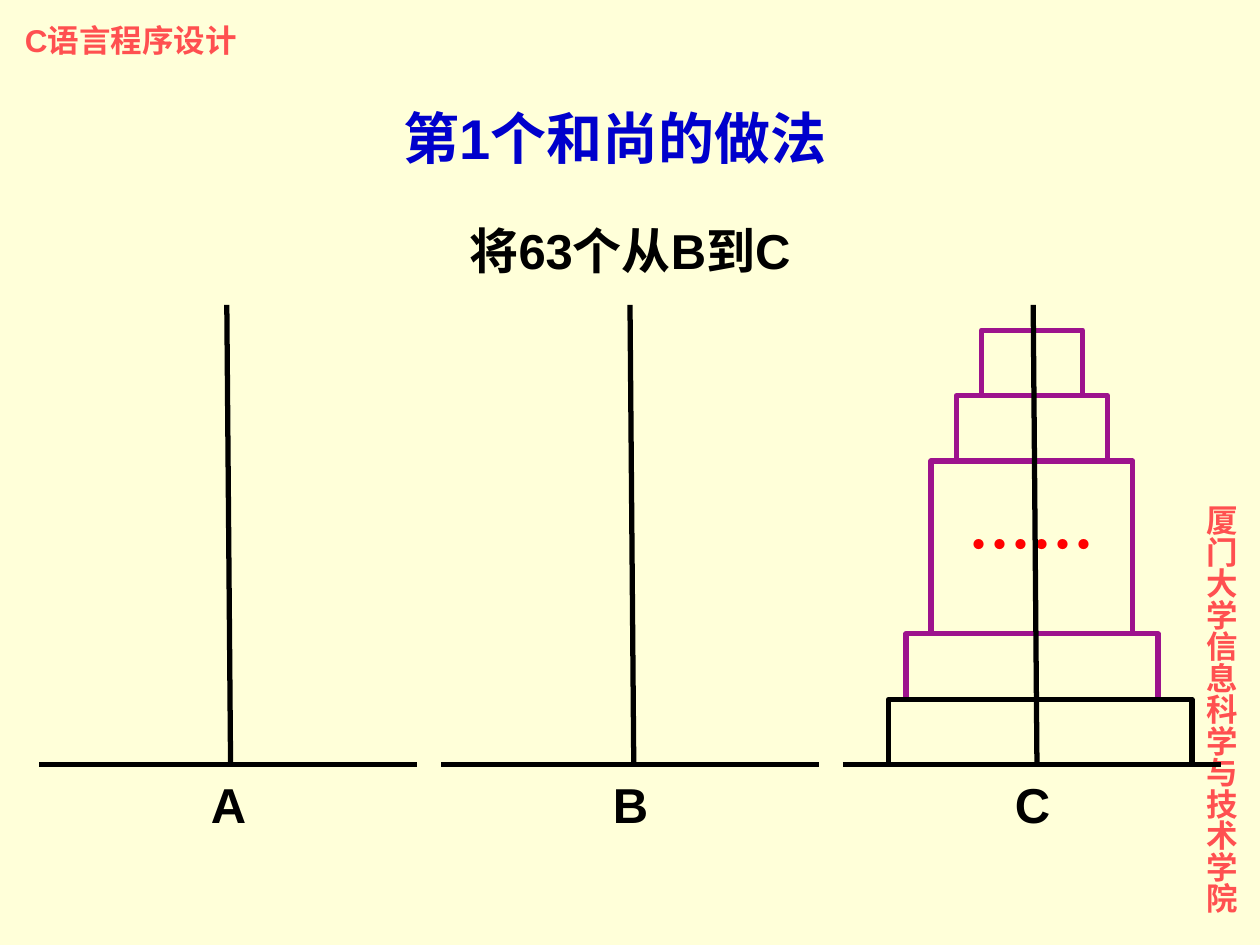
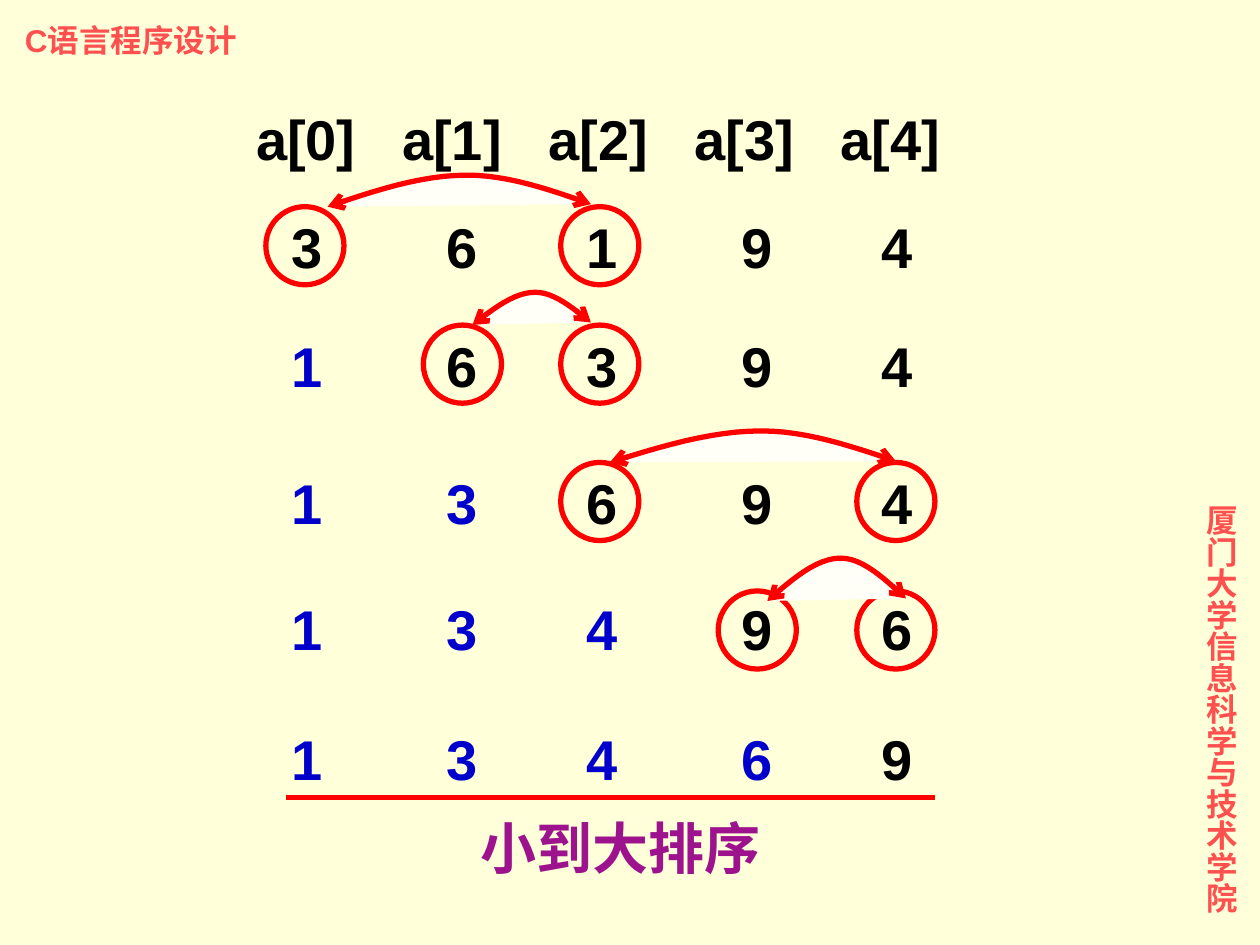
import pptx
import pptx.dml.color
import pptx.enum.dml
import pptx.enum.shapes
import pptx.enum.text
import pptx.oxml.ns
import pptx.util
from lxml import etree

Inches = pptx.util.Inches
Pt = pptx.util.Pt
RGBColor = pptx.dml.color.RGBColor
SHAPES = pptx.enum.shapes.MSO_SHAPE
ALIGN = pptx.enum.text.PP_ALIGN
qn = pptx.oxml.ns.qn

CREAM = RGBColor(0xFF, 0xFF, 0xD9)
IVORY = RGBColor(0xFF, 0xFF, 0xF7)
CORAL = RGBColor(0xFF, 0x50, 0x50)
BLACK = RGBColor(0, 0, 0)
BLUE = RGBColor(0, 0, 0xCC)
RED = RGBColor(0xFF, 0, 0)
PURPLE = RGBColor(0x9D, 0x13, 0x8D)
LATIN_FONT = "Arial"
CHINESE_FONT = "Noto Sans CJK SC"
TIGHT = {"line_spacing": Pt(24), "space_before": Pt(0)}
ROOMY_TOP = {"margin_top": Inches(0.24)}
BODY_TOP = pptx.enum.text.MSO_ANCHOR.TOP


def assign(target, values):
    for name, value in values.items():
        setattr(target, name, value)


def inches(*lengths):
    return [Inches(length) for length in lengths]


class Deck:
    def __init__(self):
        self.presentation = pptx.Presentation()
        assign(self.presentation, {"slide_width": Inches(10), "slide_height": Inches(7.5)})
        background = self.presentation.slide_master.background.fill
        background.solid()
        background.fore_color.rgb = CREAM
        self.slide = None

    def start(self, layout_name):
        layout = self.presentation.slide_layouts.get_by_name(layout_name)
        self.slide = self.presentation.slides.add_slide(layout)
        self.text((0.1, 0.12, 1.9, 0.4), [("C语言程序设计", CORAL)], 18, ALIGN.LEFT)
        school = self.text((9.38, 3.91, 0.51, 3.61), [("厦门大学信息科学与技术学院", CORAL)], 18, ALIGN.LEFT)
        school._element.txBody.bodyPr.set("vert", "eaVert")

    def fill_text(self, shape, pieces, size, align=ALIGN.CENTER, font=LATIN_FONT,
                  paragraph_format=None, frame_format=None, tabs=()):
        frame = shape.text_frame
        assign(frame, {"word_wrap": True, "vertical_anchor": BODY_TOP,
                       "auto_size": pptx.enum.text.MSO_AUTO_SIZE.NONE, **(frame_format or {})})
        paragraph = frame.paragraphs[0]
        assign(paragraph, {"alignment": align, **(paragraph_format or {})})
        if tabs:
            stops = etree.SubElement(paragraph._p.get_or_add_pPr(), qn("a:tabLst"))
            for stop in tabs:
                etree.SubElement(stops, qn("a:tab"), pos=str(Inches(stop)), algn="ctr")
        for words, color in pieces:
            run = paragraph.add_run()
            run.text = words
            assign(run.font, {"name": font, "size": Pt(size), "bold": True})
            run.font.color.rgb = color
            etree.SubElement(run._r.get_or_add_rPr(), qn("a:ea"), typeface=CHINESE_FONT)

    def text(self, place, pieces, size, align=ALIGN.CENTER, **formats):
        box = self.slide.shapes.add_textbox(*inches(*place))
        self.fill_text(box, pieces, size, align, **formats)
        return box

    def title(self, place, words):
        heading = self.slide.shapes.title
        assign(heading, dict(zip(("left", "top", "width", "height"), inches(*place))))
        self.fill_text(heading, [(words, BLUE)], 32, paragraph_format=TIGHT, frame_format=ROOMY_TOP)

    def stroke(self, shape, color):
        shape.line.color.rgb = color
        shape.line.width = Pt(3)

    def outline(self, kind, place, color):
        shape = self.slide.shapes.add_shape(kind, *inches(*place))
        shape.shadow.inherit = False
        shape.fill.background()
        self.stroke(shape, color)
        return shape

    def line(self, start, end, color):
        connector = self.slide.shapes.add_connector(
            pptx.enum.shapes.MSO_CONNECTOR.STRAIGHT, *inches(*start, *end))
        self.stroke(connector, color)
        etree.SubElement(connector._element.spPr, qn("a:effectLst"))

    def swap_arc(self, start, end, peak, steps=12):
        middle = start[0] + 0.53 * (end[0] - start[0])

        def half(foot):
            points = []
            for step in range(steps + 1):
                t = step / steps
                rise = 1.5 * t - 0.5 * t ** 3
                points.append(inches(foot[0] + t * (middle - foot[0]), foot[1] + rise * (peak - foot[1])))
            return points

        points = half(start) + half(end)[-2::-1]
        builder = self.slide.shapes.build_freeform(*points[0])
        builder.add_line_segments(points[1:], close=False)
        arc = builder.convert_to_shape()
        arc.shadow.inherit = False
        arc.fill.solid()
        arc.fill.fore_color.rgb = IVORY
        self.stroke(arc, RED)
        stroke = arc._element.spPr.find(qn("a:ln"))
        for tip in ("a:headEnd", "a:tailEnd"):
            etree.SubElement(stroke, qn(tip), type="arrow")


def hanoi_slide(deck):
    deck.start("Title Only")
    deck.title((2.42, 0.78, 4.92, 0.7), "第1个和尚的做法")
    deck.text((3.36, 1.64, 3.28, 0.7), [("将63个从B到C", BLACK)], 28,
              paragraph_format=TIGHT, frame_format=ROOMY_TOP)

    ground, peg_gap, tower_center = 6.07, 3.19, 8.19
    disc_top = 5.55
    for width, height, label in ((2, 0.52, ""), (1.6, 1.37, "……"), (1.2, 0.52, ""), (0.8, 0.52, "")):
        disc_top -= height
        disc = deck.outline(SHAPES.FLOWCHART_PROCESS,
                            (tower_center - width / 2, disc_top, width, height), PURPLE)
        if label:
            deck.fill_text(disc, [(label, RED)], 36, font=CHINESE_FONT,
                           frame_format={"margin_top": Inches(0.35), "margin_bottom": Inches(0.12),
                                         "word_wrap": False})
    deck.outline(SHAPES.FLOWCHART_PROCESS, (7.05, 5.55, 2.41, 0.52), BLACK)

    for index, peg in enumerate("ABC"):
        offset = index * peg_gap
        pole = 1.83 + index * 3.2
        deck.line((0.31 + offset, ground), (3.31 + offset, ground), BLACK)
        deck.line((pole, ground), (pole - 0.03, 2.42), BLACK)
        deck.text((1.43 + offset, 6.23, 0.77, 0.49), [(peg, BLACK)], 28, paragraph_format=TIGHT)


def sorting_slide(deck):
    deck.start("Blank")
    row_left, row_width, row_height, ring = 1.48, 6.56, 0.64, 0.62
    ring_lefts = (2.11, 3.36, 4.45, 5.7, 6.8)
    index_tabs = [0.85 + 1.16 * column for column in range(5)]
    digit_tabs = (0.86, 2.09, 3.2, 4.43, 5.54)

    def row(top, cells, sorted_count, tabs):
        pieces = [("\t" + cell, BLUE if column < sorted_count else BLACK)
                  for column, cell in enumerate(cells)]
        deck.text((row_left, top, row_width, row_height), pieces, 32, ALIGN.LEFT, tabs=tabs)

    row(0.78, [f"a[{column}]" for column in range(5)], 0, index_tabs)
    passes = (
        (1.64, "36194", 1.64, (0, 2), (2.6, 1.64), (4.69, 1.62), 1.39),
        (2.58, "16394", 2.58, (1, 2), (3.75, 2.58), (4.69, 2.56), 2.32),
        (3.67, "13694", 3.67, (2, 4), (4.84, 3.67), (7.11, 3.66), 3.42),
        (4.67, "13496", 4.69, (3, 4), (6.09, 4.77), (7.19, 4.75), 4.43),
    )
    for sorted_count, (top, digits, ring_top, swapped, start, end, peak) in enumerate(passes):
        row(top, digits, sorted_count, digit_tabs)
        for column in swapped:
            deck.outline(SHAPES.OVAL, (ring_lefts[column], ring_top, ring, ring), RED)
        deck.swap_arc(start, end, peak)
    row(5.7, "13469", 4, digit_tabs)
    deck.line((2.27, 6.33), (7.42, 6.33), RED)
    deck.text((2.97, 6.41, 3.91, 0.64), [("小到大排序", PURPLE)], 32)


def main():
    deck = Deck()
    hanoi_slide(deck)
    sorting_slide(deck)
    deck.presentation.save("out.pptx")


if __name__ == "__main__":
    main()
